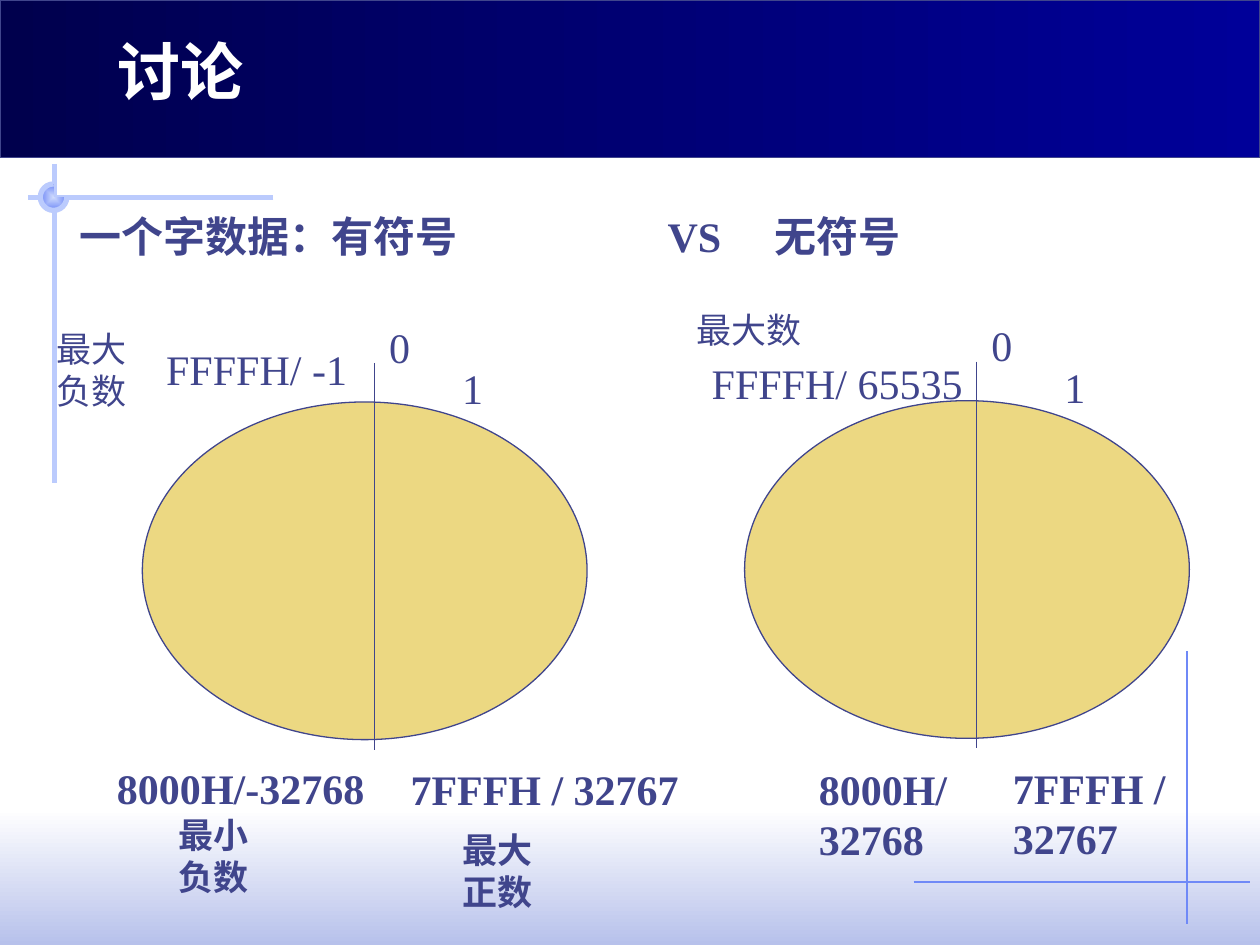
from pptx import Presentation
from pptx.dml.color import RGBColor as RGB
from pptx.enum.shapes import MSO_CONNECTOR as Conn, MSO_SHAPE as Kind
from pptx.enum.text import MSO_ANCHOR as Anchor, PP_ALIGN as Align
from pptx.oxml.ns import qn
from pptx.util import Inches, Pt
from lxml import etree

FONT = "Times New Roman"
INK, GOLD = "40458C", "ECD882"
PALE, BLUE = "BBCBFD", "6F89F7"


def paint(color, code):
    color.rgb = RGB.from_string(code)


def box(*nums):
    return [Inches(n) for n in nums]


def write(frame, text, size=24, bold=False, color=INK, wrap=False,
          space=None, tabs=()):
    """Fill a text frame, one paragraph per line of text."""
    frame.word_wrap = wrap
    frame.vertical_anchor = Anchor.TOP
    for i, line in enumerate(text.split("\n")):
        para = frame.paragraphs[0] if i == 0 else frame.add_paragraph()
        para.alignment = Align.LEFT
        if space:
            para.line_spacing = space
        if tabs:
            stops = etree.SubElement(para._p.get_or_add_pPr(), qn("a:tabLst"))
            for pos in tabs:
                etree.SubElement(stops, qn("a:tab"), pos=str(Inches(pos)), algn="l")
        run = para.add_run()
        run.text = line
        run.font.name, run.font.size, run.font.bold = FONT, Pt(size), bold
        paint(run.font.color, color)


def label(slide, text, x, y, w, h=0.5, **form):
    write(slide.shapes.add_textbox(*box(x, y, w, h)).text_frame, text, **form)


def shape(slide, kind, x, y, w, h, line=None, width=0.75):
    item = slide.shapes.add_shape(kind, *box(x, y, w, h))
    item.shadow.inherit = False
    if line:
        paint(item.line.color, line)
        item.line.width = Pt(width)
    else:
        item.line.fill.background()
    return item


def blend(item, first, last, angle=0):
    """Two-colour gradient; an angle of None runs it out from the centre."""
    item.fill.gradient()
    for stop, code in zip(item.fill.gradient_stops, (first, last)):
        paint(stop.color, code)
    if angle is not None:
        item.fill.gradient_angle = angle
        return
    grad = item._element.spPr.find(qn("a:gradFill"))
    grad.remove(grad.find(qn("a:lin")))
    way = etree.SubElement(grad, qn("a:path"), path="shape")
    etree.SubElement(way, qn("a:fillToRect"),
                     {side: "50000" for side in "ltrb"})


def rule(slide, x1, y1, x2, y2, color=INK, width=0.75):
    line = slide.shapes.add_connector(Conn.STRAIGHT, *box(x1, y1, x2, y2))
    paint(line.line.color, color)
    line.line.width = Pt(width)
    etree.SubElement(line._element.spPr, qn("a:effectLst"))


def decor(slide):
    """Footer fade, crossing rules, corner knob and header band."""
    blend(shape(slide, Kind.RECTANGLE, 0, 6.42, 10, 1.08),
          "FFFFFF", "B7C1EB", 270)
    rule(slide, 9.42, 5.17, 9.42, 7.33, BLUE)
    rule(slide, 7.25, 7, 9.92, 7, BLUE)
    rule(slide, 2.17, 1.57, 0.22, 1.57, PALE, 3)
    rule(slide, 0.43, 1.3, 0.43, 3.83, PALE, 3)
    knob = shape(slide, Kind.ARC, 0.32, 1.46, 0.21, 0.21, PALE, 3)
    knob.adjustments[0], knob.adjustments[1] = 0, 162  # right round to top
    blend(knob, "CFDBFD", BLUE, None)
    blend(shape(slide, Kind.RECTANGLE, 0, 0, 10, 1.25, INK),
          "00004D", "000099")


def dial(slide, x, y):
    """Number circle with its dividing line and the first two values."""
    disc = shape(slide, Kind.OVAL, x, y, 3.53, 2.68, INK)
    disc.fill.solid()
    paint(disc.fill.fore_color, GOLD)
    rule(slide, x + 1.84, y - 0.31, x + 1.84, y + 2.76)
    label(slide, "0", x + 1.86, y - 0.69, 0.37)
    label(slide, "1", x + 2.44, y - 0.36, 0.37)


def main():
    deck = Presentation()
    deck.slide_width, deck.slide_height = box(10, 7.5)
    slide = deck.slides.add_slide(deck.slide_layouts[5])
    decor(slide)

    # Title, brought in front of the header band
    title = slide.shapes.title
    title.left, title.top, title.width, title.height = box(0.83, 0.21, 7.24, 0.71)
    write(title.text_frame, "讨论", size=36, bold=True, color="FFFFFF", wrap=True)
    slide.shapes._spTree.append(title._element)

    label(slide, "一个字数据：有符号\tVS\t无符号", 0.53, 1.52, 8.33, 0.55,
          bold=True, wrap=True, space=1.25, tabs=(4.67, 5.52))

    # Signed word
    dial(slide, 1.13, 3.19)
    label(slide, "FFFFH/ -1", 1.22, 2.68, 1.65)
    label(slide, "8000H/-32768", 0.83, 6, 2.18, bold=True)
    label(slide, "7FFFH / 32767", 3.16, 6.01, 2.35, bold=True)
    for text, x, y, bold in (("最大负数", 0.35, 2.55, False),
                             ("最小负数", 1.32, 6.41, True),
                             ("最大正数", 3.57, 6.53, True)):
        label(slide, text, x, y, 0.93, 0.77, size=20, bold=bold, wrap=True)

    # Unsigned word
    dial(slide, 5.91, 3.18)
    label(slide, "最大数", 5.43, 2.4, 1.13, 0.44, size=20, wrap=True)
    label(slide, "FFFFH/ 65535", 5.55, 2.79, 2.21)
    label(slide, "8000H/\n32768", 6.4, 6.01, 1.23, 0.91, bold=True)
    label(slide, "7FFFH /\n32767", 7.94, 6, 1.42, 0.91, bold=True)

    deck.save("out.pptx")


if __name__ == "__main__":
    main()
